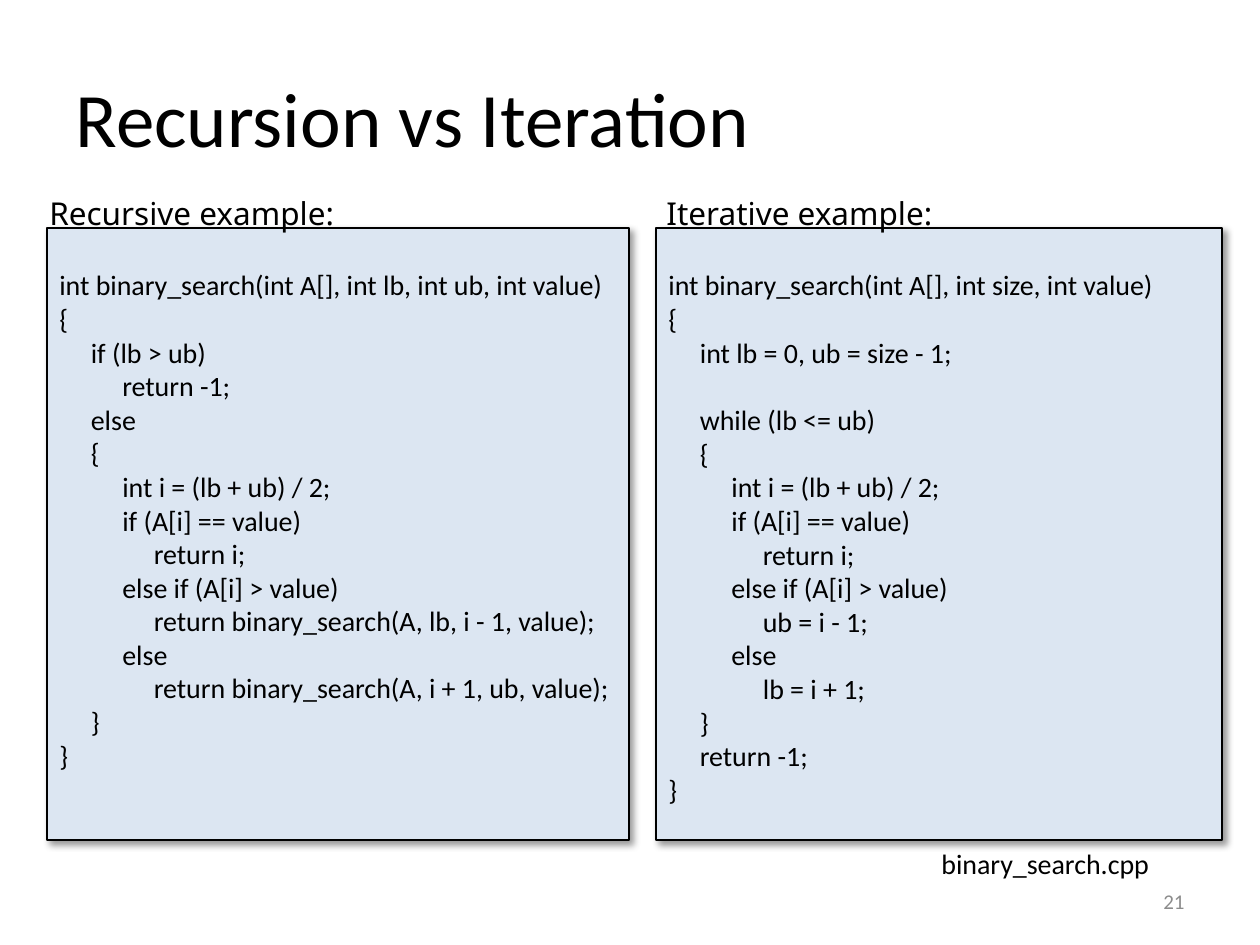
from lxml import etree
from pptx import Presentation
from pptx import util as u
from pptx.dml.color import RGBColor
from pptx.enum import shapes, text
from pptx.oxml import ns

PX = 914400 // 126
BLACK = RGBColor(0x00, 0x00, 0x00)
GRAY = RGBColor(0x8C, 0x8C, 0x8C)
PALE_BLUE = RGBColor(0xDC, 0xE6, 0xF2)
INDENT = u.Pt(18)
BLANK_LINE = u.Pt(19.5)
SHADOW = (
    '<a:outerShdw xmlns:a="%s" blurRad="50800" dist="38100" dir="2700000" '
    'algn="tl" rotWithShape="0"><a:srgbClr val="000000">'
    '<a:alpha val="40000"/></a:srgbClr></a:outerShdw>' % ns.namespaces["a"]["a"]
    if isinstance(ns.namespaces("a"), str)
    else '<a:outerShdw xmlns:a="%s" blurRad="50800" dist="38100" dir="2700000" '
    'algn="tl" rotWithShape="0"><a:srgbClr val="000000">'
    '<a:alpha val="40000"/></a:srgbClr></a:outerShdw>' % ns.namespaces("a")["a"]
)

RECURSIVE = """int binary_search(int A[], int lb, int ub, int value)
{
\tif (lb > ub)
\t\treturn -1;
\telse
\t{
\t\tint i = (lb + ub) / 2;
\t\tif (A[i] == value)
\t\t\treturn i;
\t\telse if (A[i] > value)
\t\t\treturn binary_search(A, lb, i - 1, value);
\t\telse
\t\t\treturn binary_search(A, i + 1, ub, value);
\t}
}"""

ITERATIVE = """int binary_search(int A[], int size, int value)
{
\tint lb = 0, ub = size - 1;

\twhile (lb <= ub)
\t{
\t\tint i = (lb + ub) / 2;
\t\tif (A[i] == value)
\t\t\treturn i;
\t\telse if (A[i] > value)
\t\t\tub = i - 1;
\t\telse
\t\t\tlb = i + 1;
\t}
\treturn -1;
}"""


def px(*lengths):
    """Turn pixel lengths into EMU."""
    return [u.Emu(n * PX) for n in lengths]


def style(p, size, name="Calibri", color=BLACK):
    """Set the font of a whole paragraph."""
    p.font.size, p.font.name = u.Pt(size), name
    p.font.color.rgb = color


def add_title(s, box, words):
    """Fill and place the title placeholder."""
    sp = s.shapes.title
    sp.left, sp.top, sp.width, sp.height = px(*box)
    tf = sp.text_frame
    tf.text = words
    tf.vertical_anchor = text.MSO_ANCHOR.MIDDLE
    p = tf.paragraphs[0]
    p.alignment = text.PP_ALIGN.LEFT
    style(p, 44)


def add_label(s, box, words, size, name="Calibri", color=BLACK,
              align=text.PP_ALIGN.LEFT, anchor=text.MSO_ANCHOR.TOP):
    """Add one line of text in a box."""
    tf = s.shapes.add_textbox(*px(*box)).text_frame
    tf.text = words
    tf.word_wrap = False
    tf.vertical_anchor = anchor
    p = tf.paragraphs[0]
    p.alignment = align
    style(p, size, name, color)


def add_code(tf, code):
    """Write code lines, indented by their depth."""
    p, gap = tf.paragraphs[0], 0
    for line in code.split("\n"):
        words = line.lstrip("\t")
        if not words:
            gap = BLANK_LINE
            continue
        if p.runs:
            p = tf.add_paragraph()
        p.add_run().text = words
        p.alignment = text.PP_ALIGN.LEFT
        p.space_before = gap
        p._p.get_or_add_pPr().set("marL", str((len(line) - len(words)) * INDENT))
        style(p, 16)
        gap = 0


def add_panel(s, box, heading, heading_dx, code):
    """Add a shadowed code panel with its heading above."""
    x, y, w, h = box
    sp = s.shapes.add_shape(shapes.MSO_SHAPE.RECTANGLE, *px(*box))
    sp.fill.solid()
    sp.fill.fore_color.rgb = PALE_BLUE
    sp.line.color.rgb = BLACK
    sp.line.width = u.Pt(0.75)
    sp.shadow.inherit = False
    effects = sp._element.spPr.find(ns.qn("a:effectLst"))
    effects.append(etree.fromstring(SHADOW))
    tf = sp.text_frame
    tf.word_wrap = True
    tf.vertical_anchor = text.MSO_ANCHOR.TOP
    tf.margin_top = px(40)[0]
    add_code(tf, code)
    add_label(s, (x + heading_dx, y - 40, 328, 50), heading, 18, "Noto Sans")


def build():
    """Build and save the slide."""
    prs = Presentation()
    prs.slide_width, prs.slide_height = px(1260, 945)
    s = prs.slides.add_slide(prs.slide_layouts[5])
    add_title(s, (63, 38, 1134, 157), "Recursion vs Iteration")
    add_panel(s, (47, 228, 582, 612), "Recursive example:", -10, RECURSIVE)
    add_panel(s, (656, 228, 566, 612), "Iterative example:", -2, ITERATIVE)
    add_label(s, (929, 840, 236, 47), "binary_search.cpp", 16)
    add_label(s, (903, 876, 294, 50), "21", 12, color=GRAY,
              align=text.PP_ALIGN.RIGHT, anchor=text.MSO_ANCHOR.MIDDLE)
    prs.save("out.pptx")


build()
